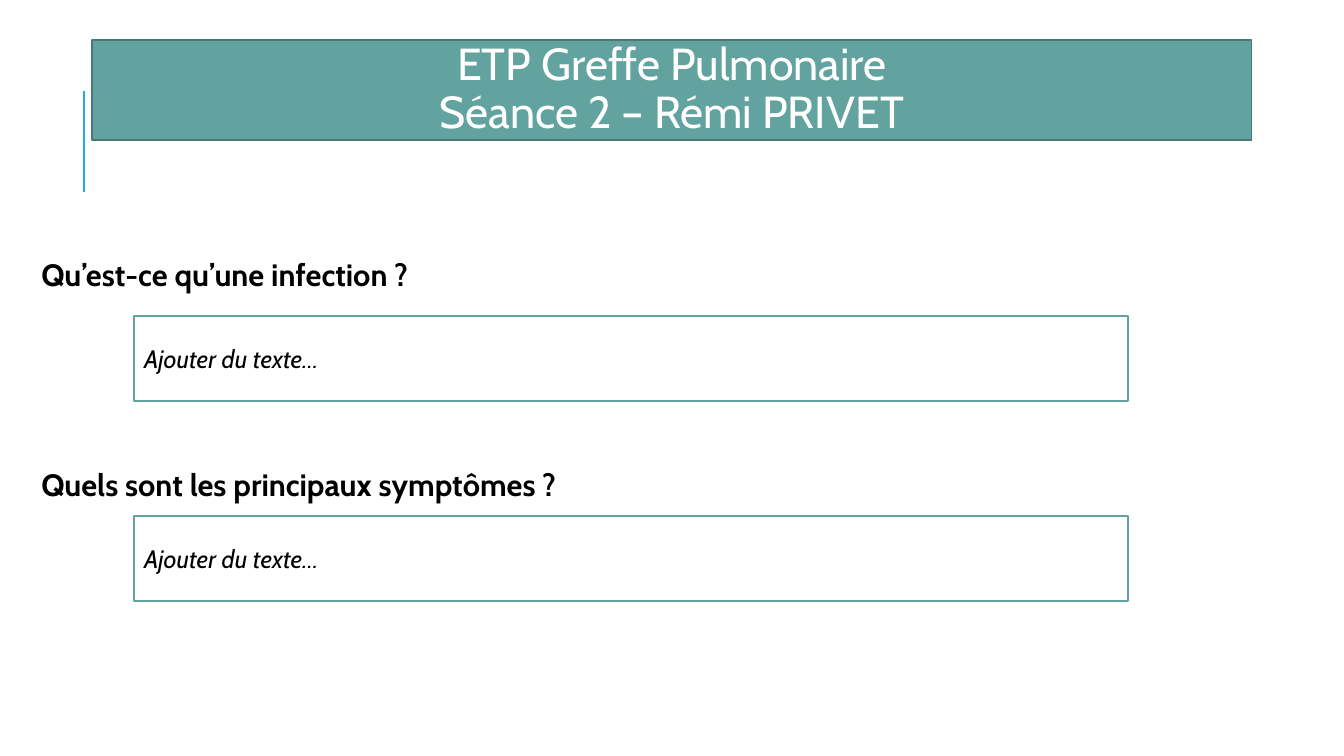
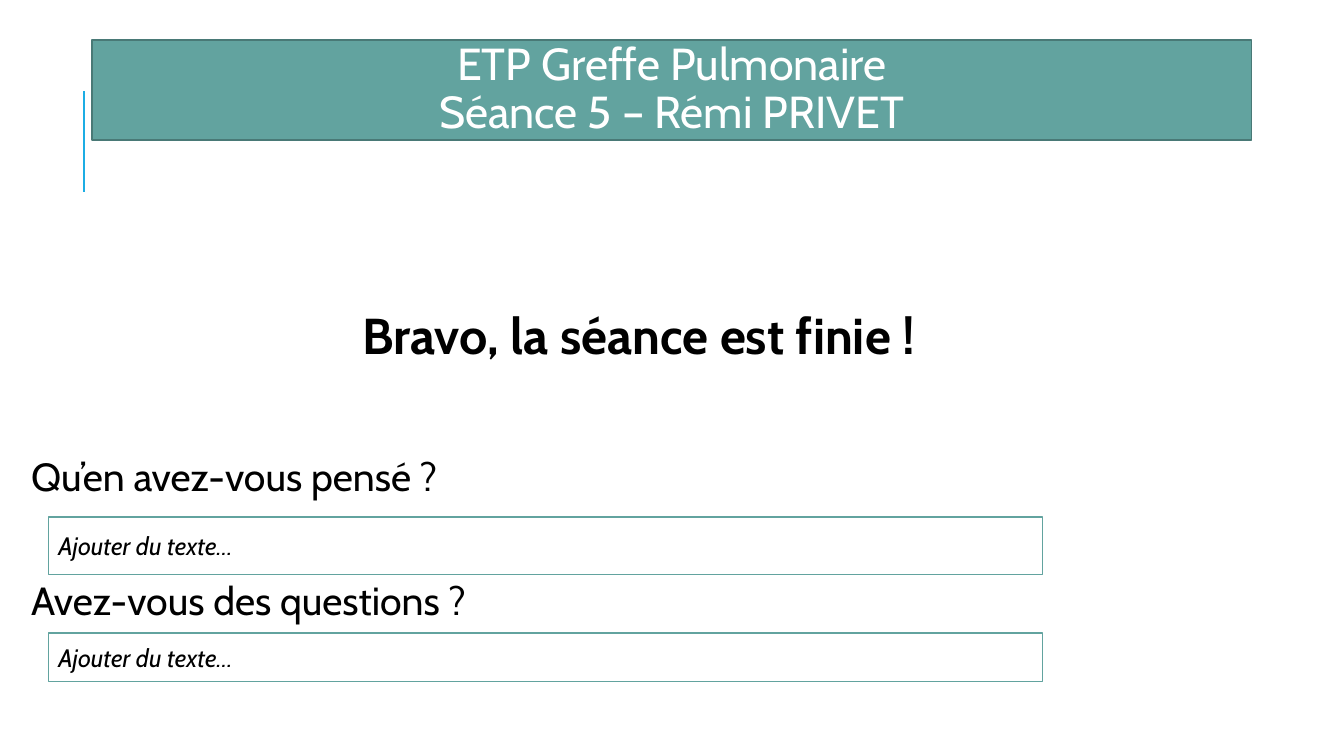
from pptx import Presentation
from pptx.dml.color import RGBColor
from pptx.enum.shapes import MSO_CONNECTOR, MSO_SHAPE
from pptx.enum.text import MSO_ANCHOR, PP_ALIGN
from pptx.oxml.ns import qn
from pptx.util import Pt
from lxml.etree import SubElement

COLORS = {"accent": "1CADE4", "teal": "62A39F", "edge": "497976",
          "white": "FFFFFF", "black": "000000"}
FONT = "Cabin"
LINE_SPACING = 0.9
FIELD_WIDTH = 710
PROMPT = "Ajouter du texte…"


def color(name):
    """Return the palette colour with this name."""
    return RGBColor.from_string(COLORS[name])


def add_text(paragraph, text, size, ink="black", bold=False, italic=False):
    """Append one styled run to a paragraph."""
    run = paragraph.add_run()
    run.text = text
    font = run.font
    font.name, font.size, font.bold, font.italic = FONT, Pt(size), bold, italic
    font.color.rgb = color(ink)


def add_panel(slide, left, top, width, height, fill, edge):
    """Draw a bordered rectangle and return its first paragraph."""
    panel = slide.shapes.add_shape(
        MSO_SHAPE.RECTANGLE, Pt(left), Pt(top), Pt(width), Pt(height))
    panel.shadow.inherit = False
    panel.fill.solid()
    panel.fill.fore_color.rgb = color(fill)
    panel.line.color.rgb = color(edge)
    panel.line.width = Pt(1.25)
    panel.text_frame.word_wrap = True
    panel.text_frame.vertical_anchor = MSO_ANCHOR.MIDDLE
    return panel.text_frame.paragraphs[0]


def add_accent(slide):
    """Draw the vertical accent line beside the banner."""
    accent = slide.shapes.add_connector(
        MSO_CONNECTOR.STRAIGHT, Pt(60), Pt(136.8), Pt(60), Pt(64.8))
    accent.line.color.rgb = color("accent")
    accent.line.width = Pt(1.5)
    SubElement(accent._element.spPr, qn("a:effectLst"))


def add_banner(slide, session):
    """Draw the title banner for a session."""
    title = add_panel(slide, 66, 28.5, 828, 71.5, "teal", "edge")
    title.alignment = PP_ALIGN.CENTER
    title.line_spacing = LINE_SPACING
    add_text(title, "ETP Greffe Pulmonaire", 32, "white")
    title.add_line_break()
    add_text(title, f"Séance {session} – Rémi PRIVET", 32, "white")


def add_body(slide, indent, inset_top, lines):
    """Write the body lines, given as text, size, bold, alignment and gap before."""
    body = slide.shapes.add_textbox(Pt(18.7), Pt(144), Pt(875), Pt(342.7)).text_frame
    body.word_wrap = True
    body.margin_left = Pt(3.6 + indent)
    body.margin_right = body.margin_bottom = Pt(3.6)
    body.margin_top = Pt(inset_top)
    for index, (text, size, bold, alignment, gap) in enumerate(lines):
        paragraph = body.add_paragraph() if index else body.paragraphs[0]
        paragraph.alignment = alignment
        paragraph.line_spacing = LINE_SPACING
        paragraph.space_before = Pt(gap)
        add_text(paragraph, text, size, bold=bold)


def add_field(slide, left, top, height):
    """Draw an answer field with its prompt."""
    prompt = add_panel(slide, left, top, FIELD_WIDTH, height, "white", "teal")
    prompt.alignment = PP_ALIGN.LEFT
    add_text(prompt, PROMPT, 18, italic=True)


def add_session(deck, session, indent, inset_top, lines, field_left, fields):
    """Build one session slide with its questions and answer fields."""
    slide = deck.slides.add_slide(deck.slide_layouts[6])
    add_accent(slide)
    add_body(slide, indent, inset_top, lines)
    add_banner(slide, session)
    for top, height in fields:
        add_field(slide, field_left, top, height)


def main():
    """Build and save the deck."""
    deck = Presentation()
    deck.slide_width, deck.slide_height = Pt(960), Pt(540)
    left, center = PP_ALIGN.LEFT, PP_ALIGN.CENTER
    add_session(deck, 2, 7.2, 41.5, [
        ("Qu’est-ce qu’une infection ?", 22, True, left, 0),
        ("Quels sont les principaux symptômes ?", 22, True, left, 126.6),
    ], 95.8, [(226, 60.5), (368.6, 60.5)])
    add_session(deck, 5, 0, 78, [
        ("Bravo, la séance est finie !", 36, True, center, 0),
        ("Qu’en avez-vous pensé ?", 28, False, left, 66),
        ("Avez-vous des questions ?", 28, False, left, 58),
    ], 34.6, [(369.4, 41), (452.2, 34.6)])
    deck.save("out.pptx")


if __name__ == "__main__":
    main()
